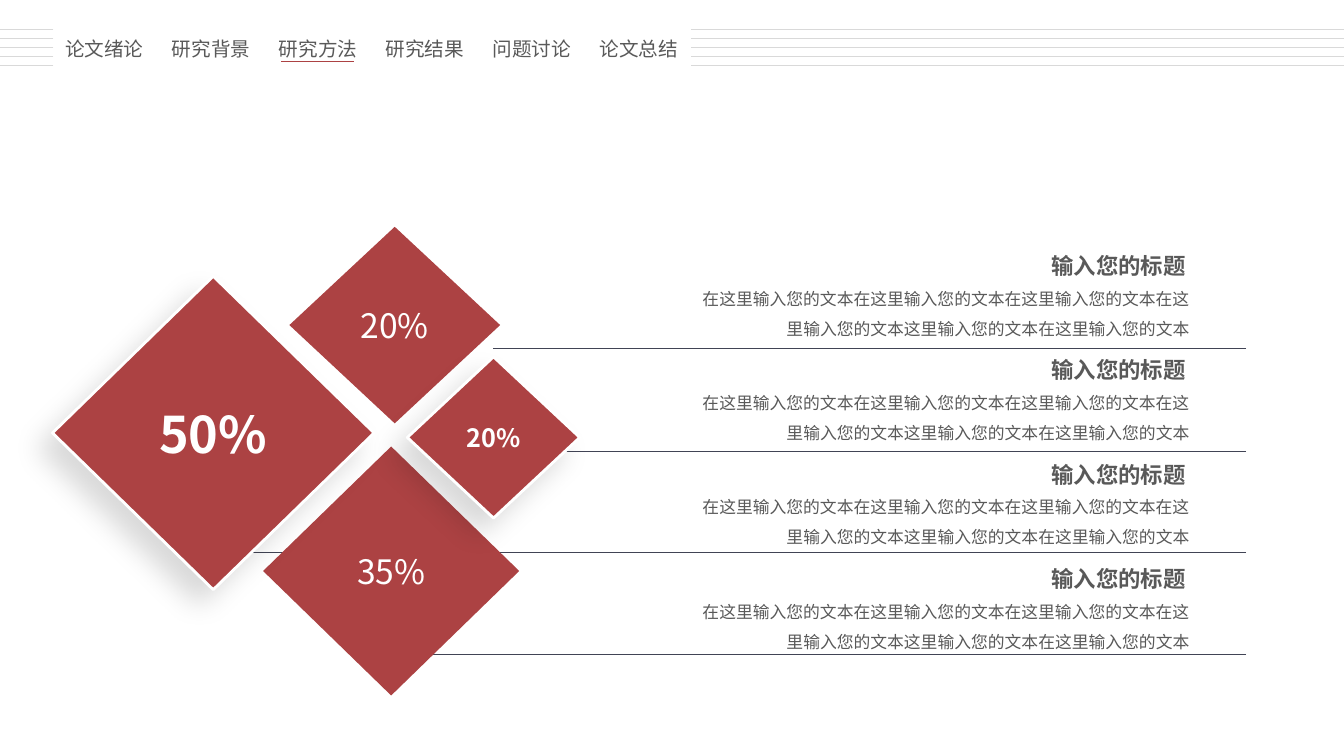
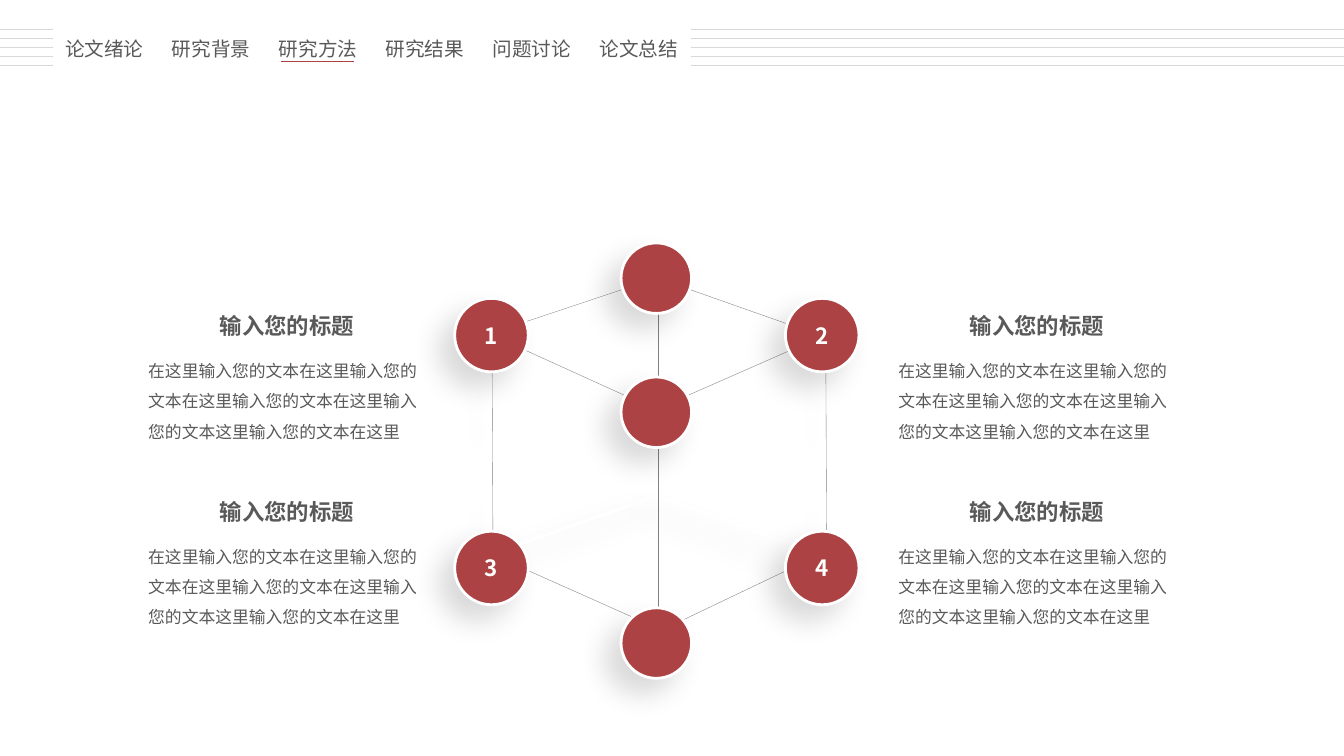
from copy import deepcopy

from lxml import etree
from pptx import Presentation
from pptx.dml.color import RGBColor
from pptx.enum import shapes, text
from pptx.oxml import ns, parse_xml
from pptx.util import Inches, Pt

RED = RGBColor(0xAC, 0x42, 0x43)
GRAY = RGBColor(0x59, 0x59, 0x59)
WHITE = RGBColor(0xFF, 0xFF, 0xFF)
NAVY = RGBColor(0x41, 0x44, 0x55)
EDGE = RGBColor(0x80, 0x80, 0x80)
PALE = RGBColor(0xD9, 0xD9, 0xD9)
FONT = "Noto Sans CJK SC"

HEADING = "输入您的标题"
PHRASE = "在这里输入您的文本"
LONG_BODY = PHRASE * 4 + "这里输入您的文本" + PHRASE
SHORT_BODY = PHRASE * 4 + "这里输入您的文本在这里"
HEADING_INSETS = (0.07, 0.04)

SHADOW = parse_xml(
    f'<a:outerShdw {ns.nsdecls("a")} blurRad="{Pt(20)}" dist="{Pt(15)}" dir="8100000"'
    ' algn="tr" rotWithShape="0"><a:srgbClr val="000000"><a:alpha val="15000"/>'
    '</a:srgbClr></a:outerShdw>')


def add_line(s, x1, y1, x2, y2, color, width):
    line = s.shapes.add_connector(shapes.MSO_CONNECTOR.STRAIGHT, Inches(x1), Inches(y1),
                                  Inches(x2), Inches(y2))
    line.line.color.rgb = color
    line.line.width = Pt(width)
    etree.SubElement(line._element.spPr, ns.qn("a:effectLst"))
    return line


def write(sp, words, size, color=GRAY, bold=False, align=text.PP_ALIGN.CENTER,
          spacing=1.0, insets=(0.1, 0.05), wrap=True):
    tf = sp.text_frame
    tf.word_wrap = wrap
    tf.margin_left = tf.margin_right = Inches(insets[0])
    tf.margin_top = tf.margin_bottom = Inches(insets[1])
    p = tf.paragraphs[0]
    p.alignment = align
    p.line_spacing = spacing
    r = p.add_run()
    r.text = words
    r.font.size = Pt(size)
    r.font.bold = bold
    r.font.name = FONT
    r.font.color.rgb = color
    etree.SubElement(r._r.get_or_add_rPr(), ns.qn("a:ea")).set("typeface", FONT)


prs = Presentation()
prs.slide_width, prs.slide_height = Inches(13.33), Inches(7.5)
raised = []

# Slide 1: rules behind the diamonds
s = prs.slides.add_slide(prs.slide_layouts[6])
for x, y in [(4.89, 3.45), (5.6, 4.48), (2.42, 5.48), (4.17, 6.49)]:
    add_line(s, 12.36, y, x, y, NAVY, 0.25)

# Diamonds
diamonds = [
    (2.87, 2.25, 2.09, 1.95, "20%", 24, False),
    (2.61, 4.43, 2.54, 2.47, "35%", 24, False),
    (0.52, 2.74, 3.19, 3.11, "50%", 36, True),
    (4.04, 3.54, 1.71, 1.6, "20%", 18, True),
]
for x, y, w, h, share, size, is_raised in diamonds:
    sp = s.shapes.add_shape(shapes.MSO_SHAPE.FLOWCHART_DECISION,
                            Inches(x), Inches(y), Inches(w), Inches(h))
    sp.shadow.inherit = False
    sp.fill.solid()
    sp.fill.fore_color.rgb = RED
    if is_raised:
        sp.line.color.rgb = WHITE
        sp.line.width = Pt(2)
        raised.append(sp)
    else:
        sp.line.fill.background()
    write(sp, share, size, WHITE, bold=is_raised)
    sp.text_frame.vertical_anchor = text.MSO_ANCHOR.MIDDLE

# Right-hand descriptions
for i in range(4):
    y = 2.38 + i * 1.035
    sp = s.shapes.add_textbox(Inches(10.15), Inches(y), Inches(1.89), Inches(0.43))
    write(sp, HEADING, 16, bold=True, spacing=1.3, insets=HEADING_INSETS)
    sp = s.shapes.add_textbox(Inches(6.88), Inches(y + 0.38), Inches(4.92), Inches(0.57))
    write(sp, LONG_BODY, 12, align=text.PP_ALIGN.RIGHT, spacing=1.5, insets=(0, 0))

# Slide 2: edges of the cube
s = prs.slides.add_slide(prs.slide_layouts[6])
edges = [
    (6.51, 2.76, 4.83, 3.32, EDGE, 0.25),
    (7.99, 5.57, 6.65, 6.21, EDGE, 0.25),
    (6.52, 4.92, 5.01, 5.45, WHITE, 2),
    (8.01, 3.4, 6.51, 4.06, EDGE, 0.25),
    (6.38, 6.17, 5.08, 5.59, EDGE, 0.25),
    (8.07, 5.47, 6.49, 4.91, WHITE, 2),
    (8.14, 3.33, 6.55, 2.77, EDGE, 0.25),
    (6.41, 4.02, 4.98, 3.37, EDGE, 0.25),
    (4.88, 3.4, 4.89, 5.54, EDGE, 0.25),
    (8.19, 3.4, 8.2, 5.54, EDGE, 0.25),
    (6.53, 2.92, 6.53, 6.23, EDGE, 0.25),
]
for edge in edges:
    raised.append(add_line(s, *edge))

# Corners of the cube
corners = [
    (7.79, 5.27, 0.73, "4"), (7.79, 2.96, 0.73, "2"),
    (4.51, 5.27, 0.73, "3"), (4.51, 2.96, 0.73, "1"),
    (6.16, 2.41, 0.7, ""), (6.16, 3.74, 0.7, ""), (6.16, 6.03, 0.7, ""),
]
for x, y, size, number in corners:
    sp = s.shapes.add_shape(shapes.MSO_SHAPE.OVAL, Inches(x), Inches(y),
                            Inches(size), Inches(size))
    sp.shadow.inherit = False
    sp.fill.solid()
    sp.fill.fore_color.rgb = RED
    sp.line.color.rgb = WHITE
    sp.line.width = Pt(2)
    raised.append(sp)
    if number:
        write(sp, number, 16, WHITE, bold=True)
        sp.text_frame.vertical_anchor = text.MSO_ANCHOR.MIDDLE

# Descriptions on both sides
for x in (1.47, 8.91):
    for y in (2.98, 4.82):
        sp = s.shapes.add_textbox(Inches(x + 0.43), Inches(y), Inches(1.89), Inches(0.43))
        write(sp, HEADING, 16, bold=True, spacing=1.3, insets=HEADING_INSETS)
        sp = s.shapes.add_textbox(Inches(x), Inches(y + 0.5), Inches(2.75), Inches(0.91))
        write(sp, SHORT_BODY, 12, align=text.PP_ALIGN.LEFT, spacing=1.5, insets=(0, 0))

# Soft shadows
for sp in raised:
    sp._element.spPr.find(ns.qn("a:effectLst")).append(deepcopy(SHADOW))

# Navigation band on every slide
sections = ["论文绪论", "研究背景", "研究方法", "研究结果", "问题讨论", "论文总结"]
for s in prs.slides:
    for x1, x2 in [(13.33, 6.85), (0.53, 0)]:
        for i in range(5):
            y = 0.29 + i * 0.09
            add_line(s, x1, y, x2, y, PALE, 0.5)
    for i, section in enumerate(sections):
        sp = s.shapes.add_textbox(Inches(0.54 + i * 1.06), Inches(0.32),
                                  Inches(0.99), Inches(0.34))
        write(sp, section, 14, wrap=False)
    add_line(s, 2.79, 0.61, 3.51, 0.61, RED, 0.5)

prs.save("out.pptx")
